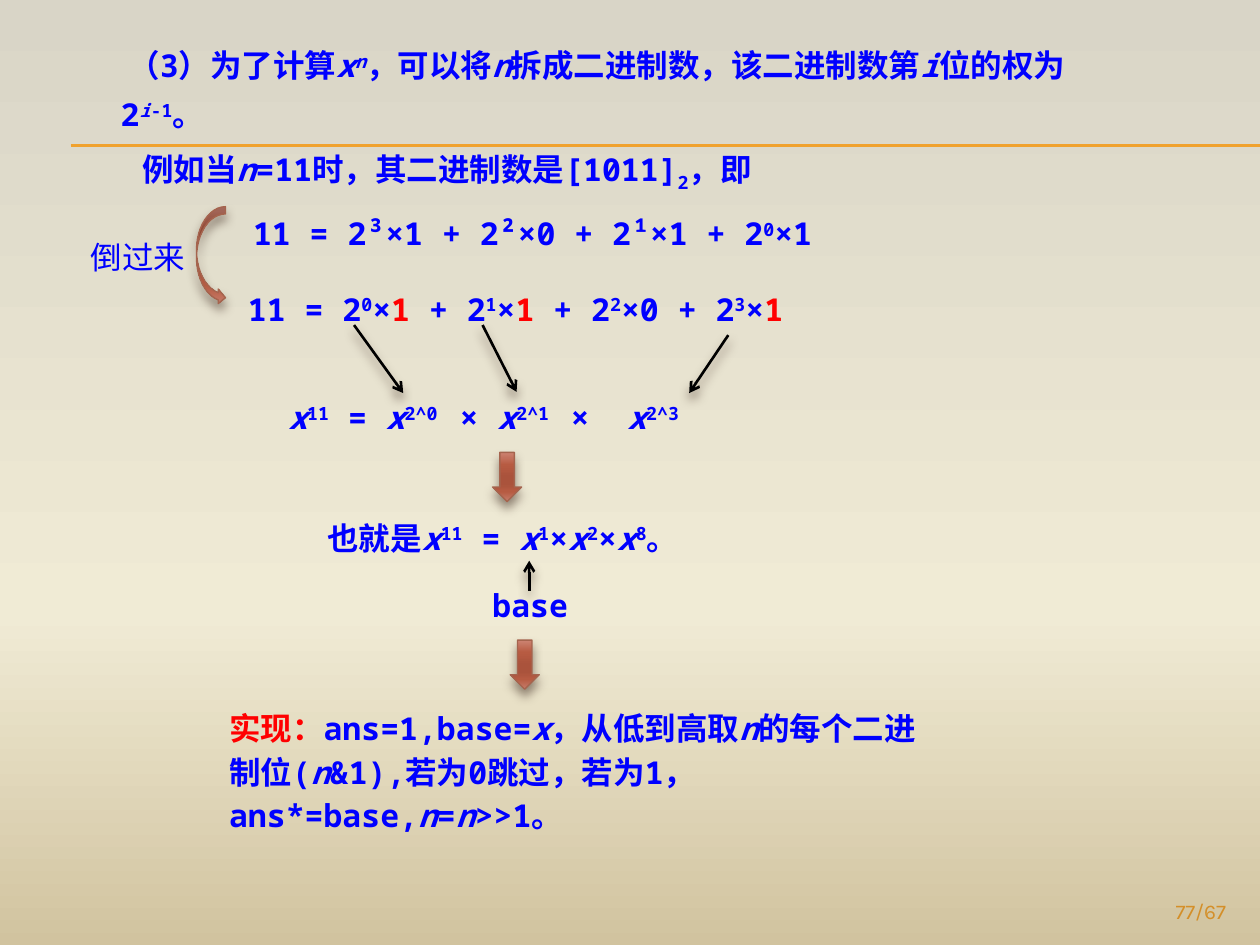
import pptx
import pptx.dml.color
import pptx.enum.shapes
import pptx.enum.text
import pptx.oxml
import pptx.oxml.ns
import pptx.util
from lxml import etree

COLORS = {
    "text": "0000FF", "accent": "FF0000", "rule": "F0A22E", "page": "D48F29",
    "pointer": "000000", "arrow_edge": "A5644E", "shadow": "4E3B30",
}
BACKGROUND = [(0, "D9D5C7"), (65, "F0EBD5"), (100, "D1C39F")]
ARROW_FILL = [(0, "CD8473"), (25, "B75B42"), (50, "AA533C"),
              (65, "AA533C"), (80, "B65B42"), (100, "C77D6B")]
MONO, CJK, PAGE_FONT = "Noto Sans Mono", "Noto Sans CJK SC", "Karla"
MSO_SHAPE = pptx.enum.shapes.MSO_SHAPE
qn = pptx.oxml.ns.qn

X, N, I = ("x", "i"), ("n", "i"), ("i", "i")


def grid(*steps):
    """Lengths on a grid of 100 columns by 75 rows, each a tenth of an inch."""
    return [pptx.util.Inches(step / 10) for step in steps]


def rgb(name):
    return pptx.dml.color.RGBColor.from_string(COLORS[name])


def sup(text):
    return (text, "^")


def set_gradient(fill, owner, stops):
    """Fill from top to bottom with any number of colour stops."""
    fill.gradient()
    fill.gradient_angle = 270
    stop_list = next(owner.iter(qn("a:gsLst")))
    for old_stop in list(stop_list):
        stop_list.remove(old_stop)
    for percent, color in stops:
        stop = etree.SubElement(stop_list, qn("a:gs"), pos=str(percent * 1000))
        etree.SubElement(stop, qn("a:srgbClr"), val=color)


def set_effects(properties, shadowed):
    effects = etree.SubElement(properties, qn("a:effectLst"))
    if shadowed:
        shadow = etree.SubElement(effects, qn("a:outerShdw"), blurRad="76200",
                                  dist="50800", dir="5400000", rotWithShape="0")
        color = etree.SubElement(shadow, qn("a:srgbClr"), val=COLORS["shadow"])
        etree.SubElement(color, qn("a:alpha"), val="60000")


def add_run(paragraph, part, size, font_name, color, bold):
    """Style marks: i italic, ^ superscript, _ subscript, r red, c CJK font."""
    text, style = (part, "") if isinstance(part, str) else part
    run = paragraph.add_run()
    run.text = text
    font = run.font
    font.size = pptx.util.Pt(size)
    font.bold = bold
    font.italic = "i" in style
    font.name = CJK if "c" in style else font_name
    font.color.rgb = rgb("accent" if "r" in style else color)
    properties = run._r.get_or_add_rPr()
    etree.SubElement(properties, qn("a:ea"), typeface=CJK)
    if "^" in style or "_" in style:
        properties.set("baseline", "30000" if "^" in style else "-25000")


def add_text(slide, at, lines, leading=None, indents=(0,), tabs=(), size=18,
             font_name=MONO, color="text", bold=True, align=None, grow=True):
    box = slide.shapes.add_textbox(*grid(*at))
    frame = box.text_frame
    frame.word_wrap = True
    if grow:
        frame.auto_size = pptx.enum.text.MSO_AUTO_SIZE.SHAPE_TO_FIT_TEXT
    for index, (parts, indent) in enumerate(zip(lines, indents)):
        paragraph = frame.add_paragraph() if index else frame.paragraphs[0]
        properties = paragraph._p.get_or_add_pPr()
        if indent:
            properties.set("indent", str(pptx.util.Inches(indent)))
        if tabs:
            tab_list = etree.SubElement(properties, qn("a:tabLst"))
            for tab in tabs:
                etree.SubElement(tab_list, qn("a:tab"), algn="l",
                                 pos=str(pptx.util.Inches(tab)))
        if leading:
            paragraph.line_spacing = pptx.util.Pt(leading)
        if index:
            paragraph.space_before = pptx.util.Pt(6)
        if align is not None:
            paragraph.alignment = align
        for part in parts:
            add_run(paragraph, part, size, font_name, color, bold)


def add_line(slide, start, end, color, width, pointer=False):
    line = slide.shapes.add_connector(
        pptx.enum.shapes.MSO_CONNECTOR.STRAIGHT, *grid(*start, *end))
    line.line.color.rgb = rgb(color)
    line.line.width = pptx.util.Pt(width)
    if pointer:
        etree.SubElement(line.line._get_or_add_ln(), qn("a:tailEnd"), type="arrow")
    set_effects(line._element.spPr, pointer)


def add_block_arrow(slide, kind, at):
    arrow = slide.shapes.add_shape(kind, *grid(*at))
    set_gradient(arrow.fill, arrow._element.spPr, ARROW_FILL)
    arrow.line.color.rgb = rgb("arrow_edge")
    arrow.line.width = pptx.util.Pt(0.79)
    set_effects(arrow._element.spPr, True)


def add_explanation(slide):
    add_text(slide, (8.6, 2.3, 82.8, 14.5), [
        ["（3）为了计算", X, ("n", "i^"), "，可以将", N,
         "拆成二进制数，该二进制数第", I, "位的权为2", ("i", "i^"),
         sup("-1"), "。"],
        ["例如当", N, "=11时，其二进制数是[1011]", ("2", "_"), "，即"],
        ["11 = 2³×1 + 2²×0 + 2¹×1 + 2", sup("0"), "×1"],
    ], leading=28, indents=(0.06, 0.17, 1.05))


def add_reversal(slide):
    one = ("1", "r")
    add_text(slide, (17.2, 22.5, 52.3, 4), [
        ["11 = 2", sup("0"), "×", one, " + 2", sup("1"), "×", one,
         " + 2", sup("2"), "×0 + 2", sup("3"), "×", one]], indents=(0.15,))
    add_block_arrow(slide, MSO_SHAPE.CURVED_RIGHT_ARROW, (15.6, 16.4, 2.3, 7.8))
    add_text(slide, (6.2, 18.4, 10.9, 4), [["倒过来"]], bold=False)


def add_factors(slide):
    add_text(slide, (21.9, 31.1, 38.3, 4), [
        [X, sup("11"), " = ", X, sup("2^0"), "\t× ", X, sup("2^1"),
         "\t×\t", X, sup("2^3")]], tabs=(1.36, 2.24, 2.69))
    for start, end in [((28.1, 25.8), (32, 31.2)), ((38.3, 25.8), (41, 31.1)),
                       ((57.8, 26.6), (54.7, 31.2))]:
        add_line(slide, start, end, "pointer", 1.5, pointer=True)


def add_product(slide):
    add_text(slide, (25, 39.8, 32.8, 4.9), [
        ["也就是", X, sup("11"), " = ", X, sup("1"), "×", X, sup("2"),
         "×", X, sup("8"), "。"]], leading=28)
    add_text(slide, (38.1, 46, 8.6, 4), [["base"]])
    add_line(slide, (42, 46.9), (42, 44.5), "pointer", 1.5, pointer=True)


def add_implementation(slide):
    add_text(slide, (17.2, 55.3, 58.6, 8), [
        [("实现：", "rc"), "ans=1,base=", X, "，从低到高取", N,
         "的每个二进制位(", N, "&1),若为0跳过，若为1，ans*=base,", N, "=", N,
         ">>1。"]], leading=25)


def main():
    deck = pptx.Presentation()
    deck.slide_width, deck.slide_height = grid(100, 75)
    slide = deck.slides.add_slide(deck.slide_layouts[6])
    set_gradient(slide.background.fill, slide.element, BACKGROUND)
    for row in (11.5, 11.6):
        add_line(slide, (5.6, row), (100, row), "rule", 0.75)
    add_explanation(slide)
    add_reversal(slide)
    add_factors(slide)
    add_product(slide)
    add_implementation(slide)
    for at in [(39.1, 35.9, 2.3, 3.9), (40.5, 50.8, 2.3, 3.9)]:
        add_block_arrow(slide, MSO_SHAPE.DOWN_ARROW, at)
    add_text(slide, (90, 70.8, 8.3, 2.7), [["77/67"]], size=12,
             font_name=PAGE_FONT, color="page", bold=False,
             align=pptx.enum.text.PP_ALIGN.RIGHT, grow=False)
    deck.save("out.pptx")


if __name__ == "__main__":
    main()
